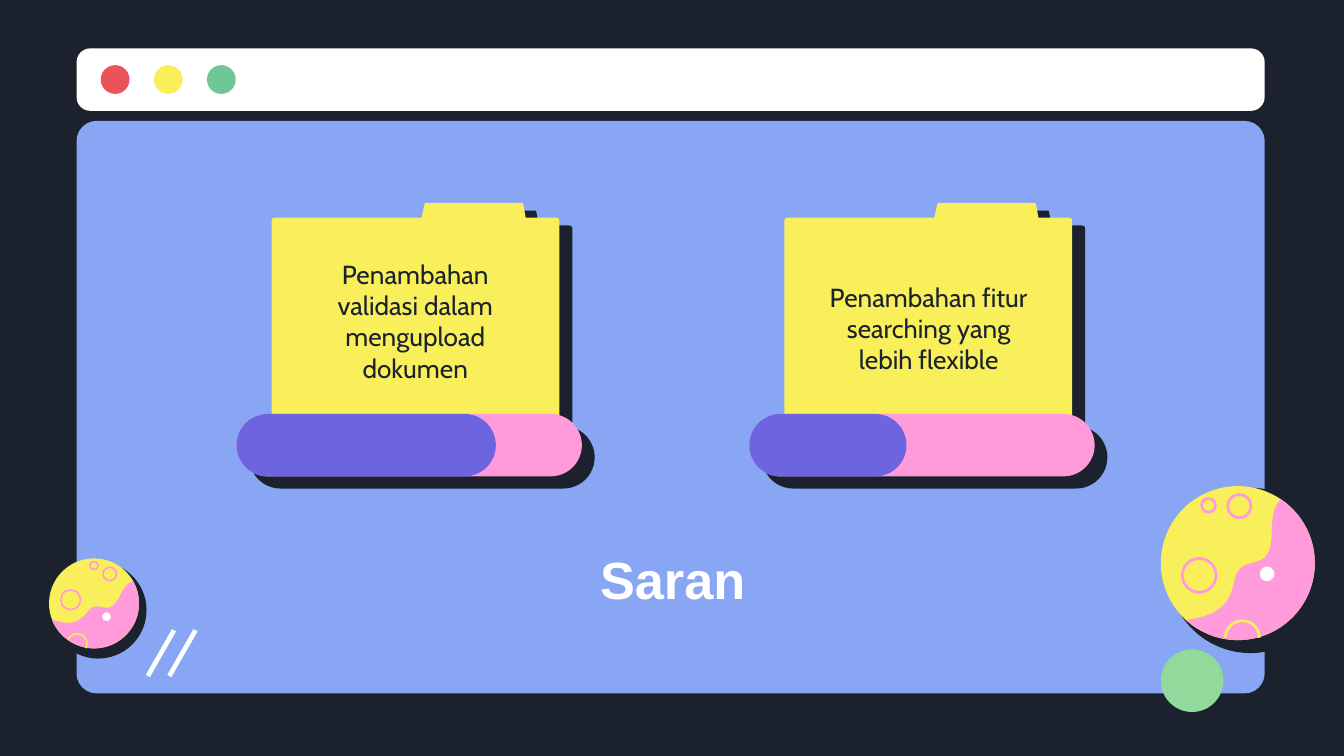
from dataclasses import dataclass
from math import cos, radians, sin

from lxml import etree
from pptx import Presentation
from pptx.dml.color import RGBColor
from pptx.enum.shapes import MSO_CONNECTOR, MSO_SHAPE
from pptx.enum.text import MSO_ANCHOR, MSO_AUTO_SIZE, PP_ALIGN
from pptx.oxml.ns import qn
from pptx.util import Emu, Inches, Pt

OVAL, ROUNDED = MSO_SHAPE.OVAL, MSO_SHAPE.ROUNDED_RECTANGLE
STRAIGHT, CENTER = MSO_CONNECTOR.STRAIGHT, PP_ALIGN.CENTER
TOP, NO_FIT = MSO_ANCHOR.TOP, MSO_AUTO_SIZE.NONE

# The slide is a grid of square cells, 100 columns by 56.25 rows
COLUMNS, ROWS = 100, 56.25
CELL = Inches(10) / COLUMNS
CURVE_STEPS = 16

Point = tuple[float, float]


@dataclass(frozen=True)
class Theme:
    dark: str = "1B222D"
    blue: str = "88A6F3"
    white: str = "FFFFFF"
    red: str = "EB5358"
    yellow: str = "F8EF5B"
    green: str = "6DC797"
    mint: str = "92D99C"
    pink: str = "FF9BDA"
    violet: str = "6D65E0"
    body_font: str = "Cabin"
    title_font: str = "Arial"
    body_size: int = 14
    title_size: int = 28


@dataclass(frozen=True)
class Box:
    left: float
    top: float
    width: float
    height: float

    def lengths(self) -> list[Emu]:
        return [cells(value) for value in (self.left, self.top, self.width, self.height)]


@dataclass(frozen=True)
class Suggestion:
    text: str
    text_box: Box
    left: float
    progress: float


@dataclass(frozen=True)
class Planet:
    center: Point
    radius: float
    angle: float
    shadow_center: Point
    shadow_radius: float

    def place(self, point: Point) -> Point:
        """Turn a point in planet radii into a point on the grid."""
        x, y = point
        turn = radians(self.angle)
        return (self.center[0] + self.radius * (x * cos(turn) - y * sin(turn)),
                self.center[1] + self.radius * (x * sin(turn) + y * cos(turn)))


THEME = Theme()
SUGGESTIONS = [
    Suggestion("Penambahan validasi dalam mengupload dokumen", Box(21.7, 18.2, 18.4, 6.7), 17.6, 19.3),
    Suggestion("Penambahan fitur searching yang lebih flexible", Box(60.3, 19.9, 17.6, 6.7), 55.75, 11.7),
]
PLANETS = [
    Planet((92.1, 41.9), 5.73, 0, (93.05, 42.45), 6.15),
    Planet((7, 44.9), 3.35, 26.5, (7.3, 45.4), 3.6),
]
# Planet details, in radii: x, y and radius of each crater, then the pink coast
CRATERS = [(0.02, -0.74, 0.15), (-0.5, 0.16, 0.22), (-0.38, -0.75, 0.09)]
COAST = [(-0.67, 0.74), (-0.25, 0.67), (-0.11, 0.56), (-0.04, 0.21), (0.04, -0.16),
         (0.44, 0.18), (0.44, -0.39), (0.44, -0.65), (0.49, -0.77), (0.56, -0.83)]
# Folder corners in cells: x, y and rounding
FOLDER = [(0, 1.1, 0.5), (11.15, 1.1, 0), (11.4, 0, 0.2), (18.7, 0, 0.2), (18.9, 1.1, 0),
          (21.4, 1.1, 0.5), (21.4, 16.3, 0), (0, 16.3, 0)]


def cells(count: float) -> Emu:
    return Emu(round(count * CELL))


def color(value: str) -> RGBColor:
    return RGBColor.from_string(value)


def paint(shape, fill: str | None, line: str | None = None, width: float = 0) -> None:
    shape.shadow.inherit = False
    if fill:
        shape.fill.solid()
        shape.fill.fore_color.rgb = color(fill)
    else:
        shape.fill.background()
    if line:
        shape.line.color.rgb = color(line)
        shape.line.width = cells(width)
    else:
        shape.line.fill.background()


def add_bar(slide, box: Box, fill: str, rounding: float = 0.5) -> None:
    shape = slide.shapes.add_shape(ROUNDED, *box.lengths())
    shape.adjustments[0] = rounding
    paint(shape, fill)


def add_circle(slide, center: Point, radius: float, fill: str | None,
               line: str | None = None, width: float = 0) -> None:
    box = Box(center[0] - radius, center[1] - radius, 2 * radius, 2 * radius)
    paint(slide.shapes.add_shape(OVAL, *box.lengths()), fill, line, width)


def add_outline(slide, points: list[Point], close: bool = True):
    corners = [(cells(x), cells(y)) for x, y in points]
    builder = slide.shapes.build_freeform(*corners[0], scale=1.0)
    builder.add_line_segments(corners[1:], close=close)
    return builder.convert_to_shape()


def curve(start: Point, first: Point, second: Point, end: Point) -> list[Point]:
    """Points along a cubic curve."""
    points = []
    for step in range(CURVE_STEPS + 1):
        t = step / CURVE_STEPS
        weights = ((1 - t) ** 3, 3 * t * (1 - t) ** 2, 3 * t * t * (1 - t), t ** 3)
        points.append(tuple(sum(weight * point[axis] for weight, point
                                in zip(weights, (start, first, second, end))) for axis in (0, 1)))
    return points


def arc(center: Point, radius: float, first: int, last: int) -> list[Point]:
    step = 4 if last > first else -4
    return [(center[0] + radius * cos(radians(angle)), center[1] + radius * sin(radians(angle)))
            for angle in range(first, last + step, step)]


def add_folder(slide, left: float, top: float) -> None:
    points = []
    for index, (x, y, rounding) in enumerate(FOLDER):
        ends = []
        for other_x, other_y, _ in (FOLDER[index - 1], FOLDER[(index + 1) % len(FOLDER)]):
            share = rounding / ((other_x - x) ** 2 + (other_y - y) ** 2) ** 0.5
            ends.append((x + share * (other_x - x), y + share * (other_y - y)))
        points += curve(ends[0], (x, y), (x, y), ends[1]) if rounding else [(x, y)]
    shape = add_outline(slide, [(left + x, top + y) for x, y in points])
    paint(shape, THEME.yellow)
    # Hard shadow to the lower right
    effects = shape.element.spPr.find(qn("a:effectLst"))
    shadow = etree.SubElement(effects, qn("a:outerShdw"), blurRad="0", dist=str(Pt(8.2)),
                              dir=str(31 * 60000), algn="bl", rotWithShape="0")
    etree.SubElement(shadow, qn("a:srgbClr"), val=THEME.dark)


def add_planet(slide, planet: Planet) -> None:
    stroke = 0.035 * planet.radius
    add_circle(slide, planet.shadow_center, planet.shadow_radius, THEME.dark)
    add_circle(slide, planet.center, planet.radius, THEME.yellow)
    for x, y, radius in CRATERS:
        add_circle(slide, planet.place((x, y)), radius * planet.radius, None, THEME.pink, stroke)
    # Pink land: the wavy coast closed by the planet's rim
    land = [point for start in (0, 3, 6) for point in curve(*COAST[start:start + 4])]
    land += arc((0, 0), 1, -56, 132)
    paint(add_outline(slide, [planet.place(point) for point in land]), THEME.pink)
    rim_crater = [planet.place(point) for point in arc((0.06, 0.97), 0.22, 180, 360)]
    paint(add_outline(slide, rim_crater, close=False), None, THEME.yellow, stroke)
    add_circle(slide, planet.place((0.38, 0.14)), 0.095 * planet.radius, THEME.white)


def add_slash(slide, start: Point, end: Point) -> None:
    line = slide.shapes.add_connector(STRAIGHT, *(cells(value) for value in start + end))
    line.line.color.rgb = color(THEME.white)
    line.line.width = Pt(2.5)
    etree.SubElement(line.element.spPr, qn("a:effectLst"))


def set_text(placeholder, text: str, box: Box, font: str, size: int, fill: str, bold: bool) -> None:
    placeholder.left, placeholder.top, placeholder.width, placeholder.height = box.lengths()
    # Bring the text in front of the drawing
    placeholder.element.getparent().append(placeholder.element)
    frame = placeholder.text_frame
    frame.text = text
    frame.word_wrap, frame.auto_size, frame.vertical_anchor = True, NO_FIT, TOP
    frame.margin_left = frame.margin_right = frame.margin_top = frame.margin_bottom = cells(1)
    paragraph = frame.paragraphs[0]
    properties = paragraph._p.get_or_add_pPr()
    properties.set("marL", "0")
    properties.set("indent", "0")
    etree.SubElement(properties, qn("a:buNone"))
    paragraph.alignment, paragraph.space_before = CENTER, Pt(0)
    style = paragraph.runs[0].font
    style.name, style.size, style.bold = font, Pt(size), bold
    style.color.rgb = color(fill)


def main() -> None:
    presentation = Presentation()
    presentation.slide_width, presentation.slide_height = cells(COLUMNS), cells(ROWS)
    slide = presentation.slides.add_slide(presentation.slide_layouts[3])
    title, *bodies = slide.placeholders
    slide.background.fill.solid()
    slide.background.fill.fore_color.rgb = color(THEME.dark)

    # Browser window
    add_bar(slide, Box(5.7, 9, 88.4, 42.6), THEME.blue, 0.035)
    add_bar(slide, Box(5.7, 3.6, 88.4, 4.65), THEME.white, 0.22)
    for index, fill in enumerate((THEME.red, THEME.yellow, THEME.green)):
        add_circle(slide, (8.57 + 3.95 * index, 5.92), 1.07, fill)

    # Decorations
    for planet in PLANETS:
        add_planet(slide, planet)
    for left in (11, 12.6):
        add_slash(slide, (left + 1.95, 46.9), (left, 50.3))
    add_circle(slide, (88.7, 50.65), 2.33, THEME.mint)

    # Suggestions: folder, progress bar and text
    for suggestion, body in zip(SUGGESTIONS, bodies):
        left = suggestion.left
        add_folder(slide, left + 2.62, 15.1)
        add_bar(slide, Box(left + 0.95, 31.7, 25.7, 4.65), THEME.dark)
        add_bar(slide, Box(left, 30.8, 25.7, 4.65), THEME.pink)
        add_bar(slide, Box(left, 30.8, suggestion.progress, 4.65), THEME.violet)
        set_text(body, suggestion.text, suggestion.text_box,
                 THEME.body_font, THEME.body_size, THEME.dark, False)

    set_text(title, "Saran", Box(7.9, 39.7, 84.3, 6.2),
             THEME.title_font, THEME.title_size, THEME.white, True)
    presentation.save("out.pptx")


if __name__ == "__main__":
    main()
